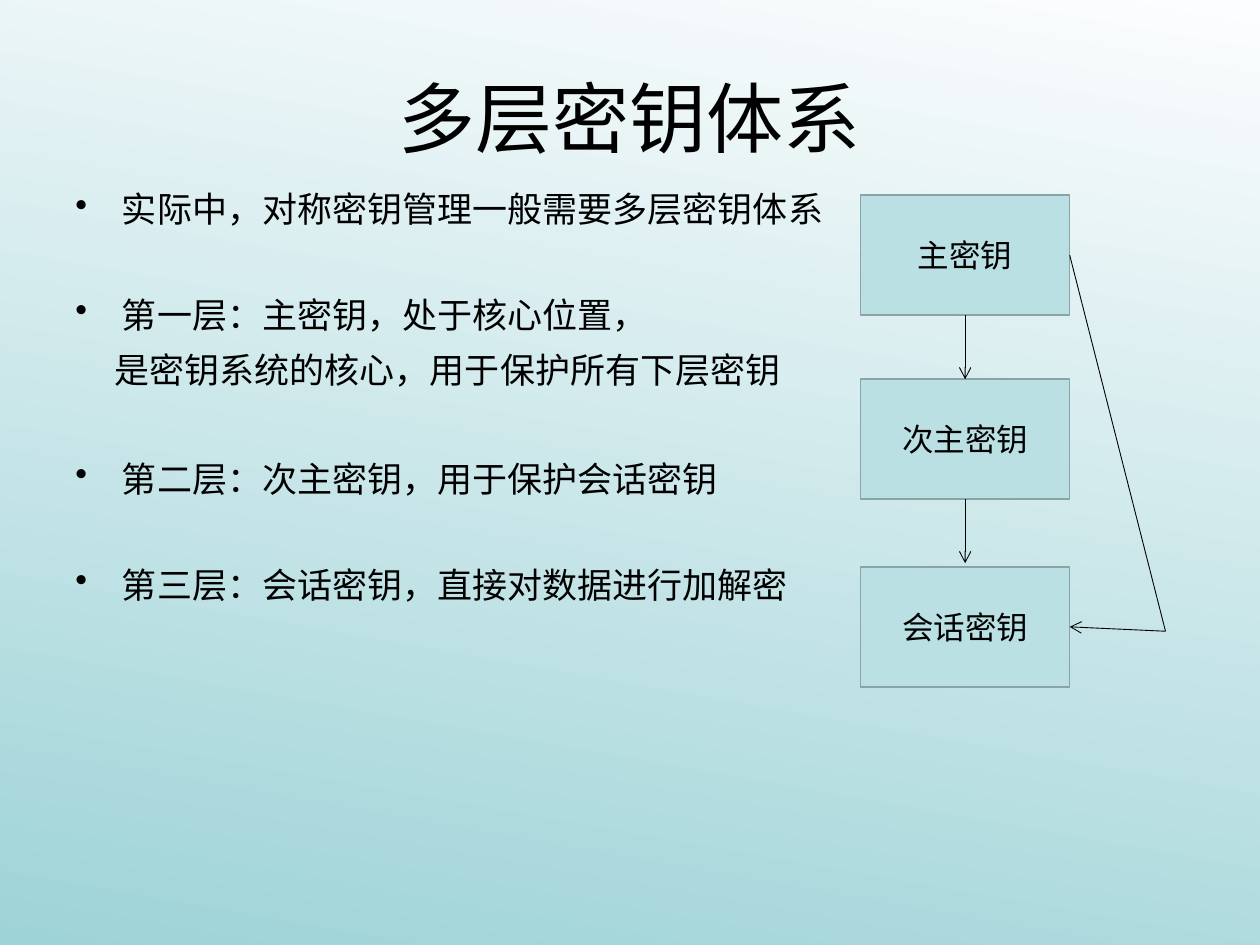
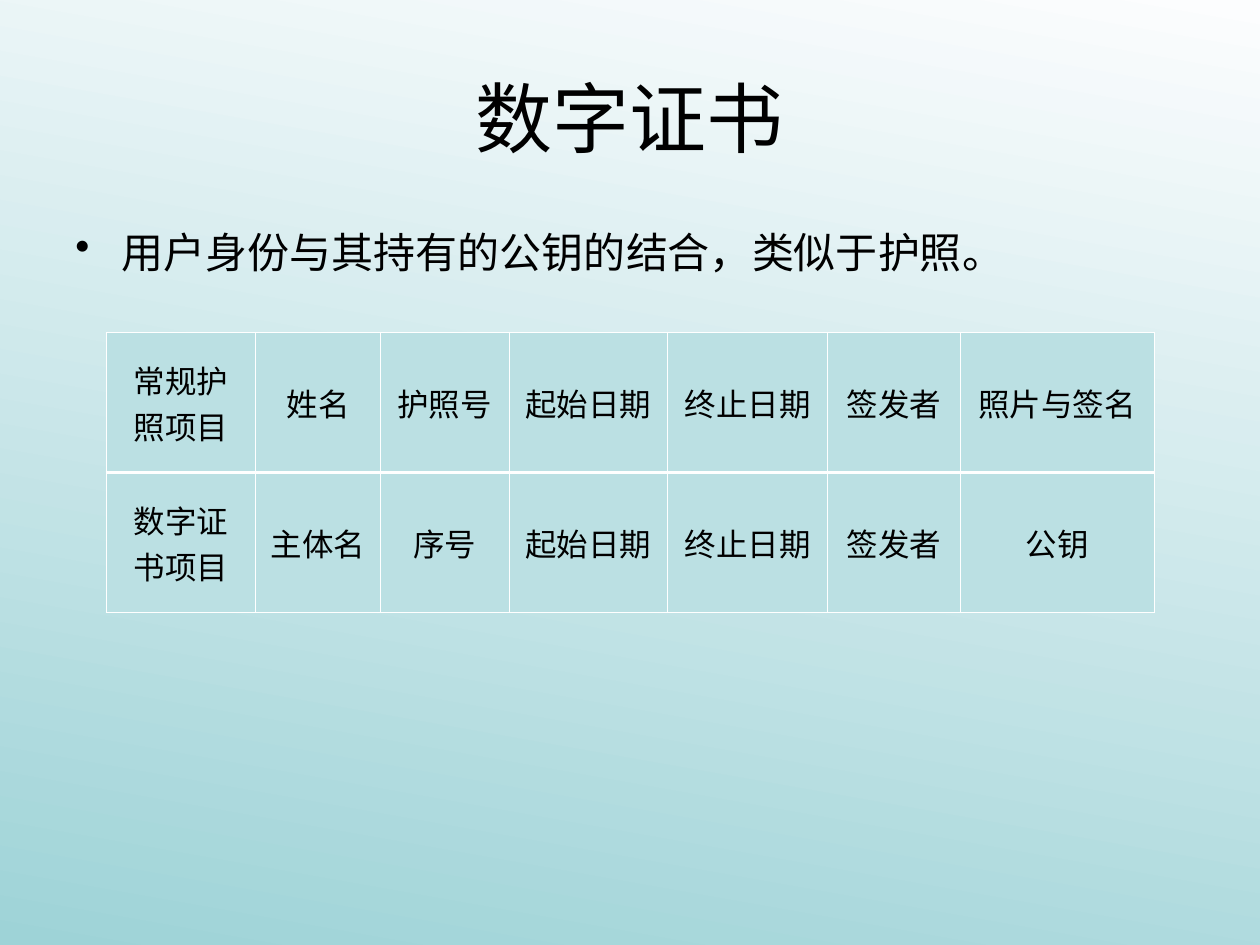
"""Builds two slides on key hierarchies and digital certificates."""
from lxml import etree
from pptx import Presentation
from pptx.dml.color import RGBColor
from pptx.enum.shapes import MSO_CONNECTOR, MSO_SHAPE
from pptx.enum.text import MSO_ANCHOR, PP_ALIGN
from pptx.oxml.ns import qn
from pptx.util import Inches, Pt

CENTER = PP_ALIGN.CENTER
MIDDLE = MSO_ANCHOR.MIDDLE
RECTANGLE = MSO_SHAPE.RECTANGLE
STRAIGHT = MSO_CONNECTOR.STRAIGHT
TOP, LEFT, BOTTOM, RIGHT = range(4)

BLACK = RGBColor(0x00, 0x00, 0x00)
WHITE = RGBColor(0xFF, 0xFF, 0xFF)
PALE_TEAL = RGBColor(0xBB, 0xE0, 0xE3)
GREY_TEAL = RGBColor(0x89, 0xA4, 0xA7)
BACKGROUND = (RGBColor(0xFC, 0xFD, 0xFE), RGBColor(0x9E, 0xD3, 0xD7))
BACKGROUND_ANGLE = 260

BODY_FONT = "Arial"
HANGING = 0.37
CONTINUATION = 0.06
THIN, THICK = 0.45, 1.47

KEY_POINTS = [
    ("实际中，对称密钥管理一般需要多层密钥体系", True, 0),
    ("第一层：主密钥，处于核心位置，", True, 34),
    ("是密钥系统的核心，用于保护所有下层密钥", False, 5),
    ("第二层：次主密钥，用于保护会话密钥", True, 36),
    ("第三层：会话密钥，直接对数据进行加解密", True, 34),
]
KEY_BOXES = [("主密钥", 1.55), ("次主密钥", 3.01), ("会话密钥", 4.5)]
KEY_LEFT, KEY_WIDTH, KEY_HEIGHT = 6.83, 1.66, 0.95
BYPASS_CORNER = (9.25, 5.01)

CERTIFICATE_POINTS = [("用户身份与其持有的公钥的结合，类似于护照。", True, 0)]
CERTIFICATE_ROWS = [
    ["常规护照项目", "姓名", "护照号", "起始日期", "终止日期", "签发者", "照片与签名"],
    ["数字证书项目", "主体名", "序号", "起始日期", "终止日期", "签发者", "公钥"],
]
COLUMN_WIDTHS = [1.19, 0.99, 1.02, 1.26, 1.27, 1.05, 1.54]
ROW_HEIGHT = 1.11


def apply(target, formats):
    """Set every attribute named in a dict of format values."""
    for name, value in formats.items():
        setattr(target, name, value)


def write(para, text, size, font=BODY_FONT):
    """Put one black span of text in a paragraph."""
    span = para.add_run()
    span.text = text
    apply(span.font, {"size": Pt(size), "name": font})
    span.font.color.rgb = BLACK


def write_centred(para, text, size, font=BODY_FONT):
    """Put one centred span of text in a paragraph."""
    para.alignment = CENTER
    write(para, text, size, font)


def add_page(deck, title, font=BODY_FONT):
    """Add a page with the shared gradient and a centred title."""
    page = deck.slides.add_slide(deck.slide_layouts[6])
    fill = page.background.fill
    fill.gradient()
    fill.gradient_angle = BACKGROUND_ANGLE
    for stop, colour in zip(fill.gradient_stops, BACKGROUND):
        stop.color.rgb = colour
    box = page.shapes.add_textbox(Inches(0.5), Inches(0.3), Inches(9), Inches(1.25))
    apply(box.text_frame, {"word_wrap": True, "vertical_anchor": MIDDLE})
    write_centred(box.text_frame.paragraphs[0], title, 44, font)
    return page


def set_bullet(para, bulleted):
    """Give a paragraph its hanging indent and, if wanted, a black bullet."""
    properties = para._p.get_or_add_pPr()
    properties.set("marL", str(Inches(HANGING)))
    properties.set("indent", str(-Inches(HANGING if bulleted else CONTINUATION)))
    if bulleted:
        colour = etree.SubElement(properties, qn("a:buClr"))
        etree.SubElement(colour, qn("a:srgbClr"), val=str(BLACK))
        etree.SubElement(properties, qn("a:buChar"), char="•")


def add_points(page, points, top, size):
    """Add the body list of (text, bulleted, space before) points."""
    box = page.shapes.add_textbox(Inches(0.5), Inches(top), Inches(9), Inches(4.95))
    frame = box.text_frame
    frame.word_wrap = True
    for index, (text, bulleted, gap) in enumerate(points):
        para = frame.add_paragraph() if index else frame.paragraphs[0]
        apply(para, {"line_spacing": 1.1 if index else 1.0, "space_before": Pt(gap)})
        set_bullet(para, bulleted)
        write(para, text, size)


def add_key_box(page, label, top):
    """Add one labelled key rectangle."""
    box = page.shapes.add_shape(RECTANGLE, Inches(KEY_LEFT), Inches(top),
                                Inches(KEY_WIDTH), Inches(KEY_HEIGHT))
    box.shadow.inherit = False
    box.fill.solid()
    box.fill.fore_color.rgb = PALE_TEAL
    box.line.color.rgb = GREY_TEAL
    box.line.width = Pt(1)
    box.text_frame.vertical_anchor = MIDDLE
    write_centred(box.text_frame.paragraphs[0], label, 18)
    return box


def add_link(page, start, end, arrow=True):
    """Draw a line; each end is a point in inches or a (box, side) pair."""
    link = page.shapes.add_connector(STRAIGHT, 0, 0, 0, 0)
    for place, join, prefix in ((start, link.begin_connect, "begin"),
                                (end, link.end_connect, "end")):
        if hasattr(place[0], "shape_id"):
            join(*place)
        else:
            apply(link, {f"{prefix}_x": Inches(place[0]),
                         f"{prefix}_y": Inches(place[1])})
    link.line.color.rgb = BLACK
    link.line.width = Pt(0.5)
    if arrow:
        etree.SubElement(link.line._get_or_add_ln(), qn("a:tailEnd"), type="arrow")
    etree.SubElement(link._element.spPr, qn("a:effectLst"))


def set_borders(cell, top, bottom):
    """Give a cell white borders, thin at the sides."""
    properties = cell._tc.get_or_add_tcPr()
    sides = {"lnL": THIN, "lnR": THIN, "lnT": top, "lnB": bottom}
    for index, (side, width) in enumerate(sides.items()):
        line = etree.Element(qn(f"a:{side}"), w=str(Pt(width)))
        fill = etree.SubElement(line, qn("a:solidFill"))
        etree.SubElement(fill, qn("a:srgbClr"), val=str(WHITE))
        properties.insert(index, line)


def add_certificate_table(page):
    """Add the table that compares a passport with a certificate."""
    count = len(CERTIFICATE_ROWS)
    table = page.shapes.add_table(
        count, len(COLUMN_WIDTHS), Inches(0.84), Inches(2.64),
        Inches(sum(COLUMN_WIDTHS)), Inches(ROW_HEIGHT * count)).table
    apply(table, {"first_row": False, "horz_banding": False})
    for column, width in zip(table.columns, COLUMN_WIDTHS):
        column.width = Inches(width)
    for index, (row, labels) in enumerate(zip(table.rows, CERTIFICATE_ROWS)):
        row.height = Inches(ROW_HEIGHT)
        for cell, label in zip(row.cells, labels):
            cell.vertical_anchor = MIDDLE
            cell.fill.solid()
            cell.fill.fore_color.rgb = PALE_TEAL
            set_borders(cell, THICK if index else THIN,
                        THICK if index < count - 1 else THIN)
            write_centred(cell.text_frame.paragraphs[0], label, 18)


def build_key_page(deck):
    """Build the page on the layered key system."""
    page = add_page(deck, "多层密钥体系")
    add_points(page, KEY_POINTS, 1.44, 20)
    master, secondary, session = [add_key_box(page, *key) for key in KEY_BOXES]
    add_link(page, (master, BOTTOM), (secondary, TOP))
    add_link(page, (secondary, BOTTOM), (KEY_LEFT + KEY_WIDTH / 2, 4.47))
    add_link(page, (master, RIGHT), BYPASS_CORNER, arrow=False)
    add_link(page, BYPASS_CORNER, (session, RIGHT))


def build_certificate_page(deck):
    """Build the page on digital certificates."""
    page = add_page(deck, "数字证书", "Calibri")
    add_points(page, CERTIFICATE_POINTS, 1.75, 24)
    add_certificate_table(page)


def main():
    """Build and save the deck."""
    deck = Presentation()
    apply(deck, {"slide_width": Inches(10), "slide_height": Inches(7.5)})
    build_key_page(deck)
    build_certificate_page(deck)
    deck.save("out.pptx")


if __name__ == "__main__":
    main()
